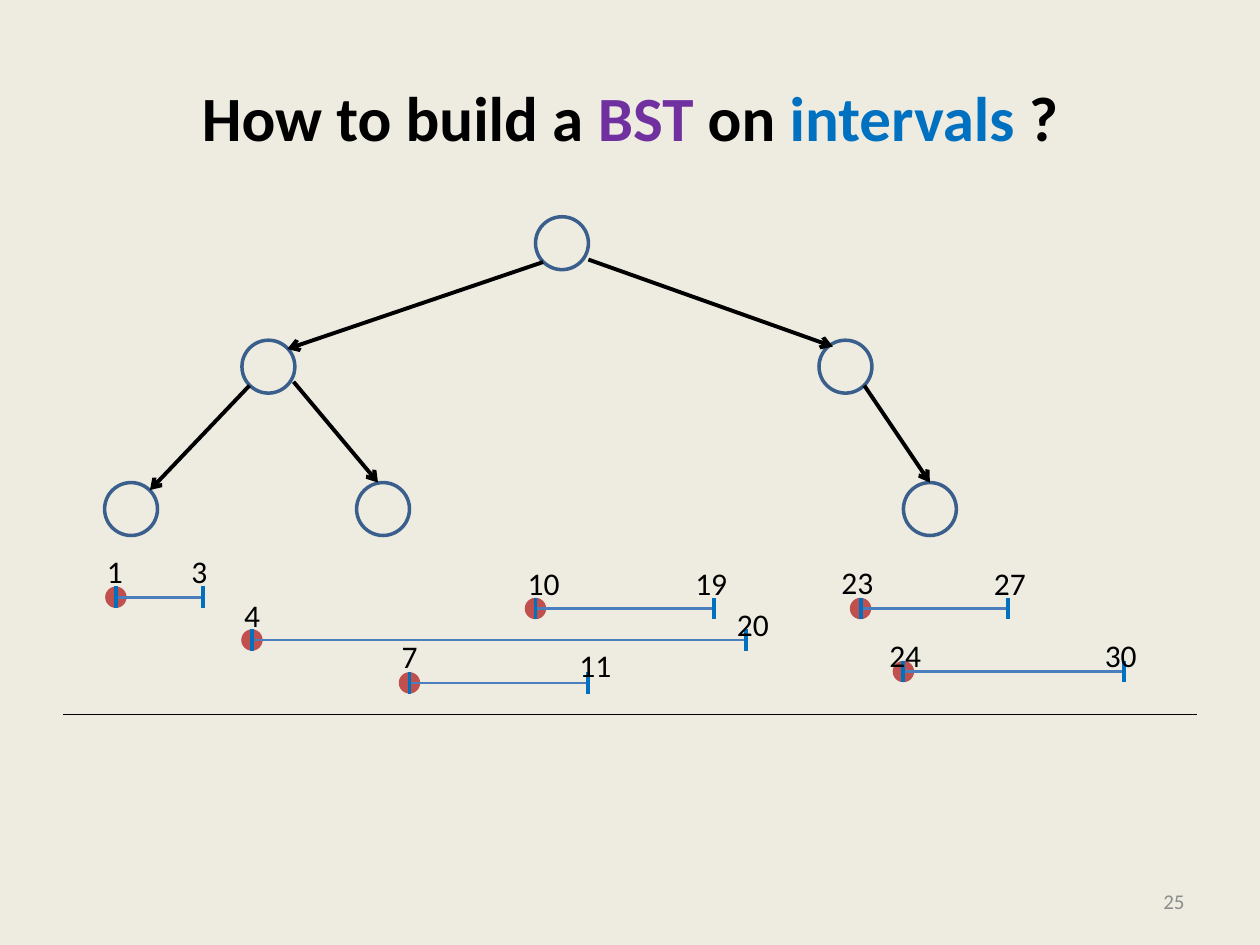
from dataclasses import dataclass

from lxml import etree
from pptx import Presentation
from pptx.dml.color import RGBColor
from pptx.enum.shapes import MSO_CONNECTOR, MSO_SHAPE
from pptx.enum.text import MSO_ANCHOR, MSO_AUTO_SIZE, PP_ALIGN
from pptx.oxml.ns import qn
from pptx.util import Inches, Pt

STRAIGHT = MSO_CONNECTOR.STRAIGHT
OVAL = MSO_SHAPE.OVAL
MIDDLE = MSO_ANCHOR.MIDDLE
FIT_SHAPE = MSO_AUTO_SIZE.SHAPE_TO_FIT_TEXT
CENTER, RIGHT = PP_ALIGN.CENTER, PP_ALIGN.RIGHT


@dataclass(frozen=True)
class Theme:
    font: str = "Calibri"
    background: str = "EEECE1"
    ink: str = "000000"
    purple: str = "7030A0"
    blue: str = "0070C0"
    gray: str = "8C8C8C"
    node_line: str = "3A5F8C"
    interval: str = "4B7EBC"
    dot: str = "C0504D"
    title_size: int = 36
    label_size: int = 18
    number_size: int = 12


theme = Theme()


def add_line(shapes, start, end, color, width, arrow=False):
    line = shapes.add_connector(STRAIGHT, *map(Inches, start + end))
    line.line.color.rgb = RGBColor.from_string(color)
    line.line.width = Pt(width)
    if arrow:
        etree.SubElement(line.line._get_or_add_ln(), qn("a:tailEnd"), type="arrow")
    etree.SubElement(line._element.spPr, qn("a:effectLst"))


def add_span(para, text, size, color, bold=False):
    span = para.add_run()
    span.text = text
    span.font.name = theme.font
    span.font.size = Pt(size)
    span.font.bold = bold
    span.font.color.rgb = RGBColor.from_string(color)


deck = Presentation()
deck.slide_width, deck.slide_height = Inches(10), Inches(7.5)
page = deck.slides.add_slide(deck.slide_layouts[5])
page.background.fill.solid()
page.background.fill.fore_color.rgb = RGBColor.from_string(theme.background)

title = page.shapes.title
title.left, title.top, title.width, title.height = map(Inches, (0.5, 0.3, 9, 1.25))
title.text_frame.vertical_anchor = MIDDLE
para = title.text_frame.paragraphs[0]
para.alignment = CENTER
for text, color in (
    ("How to build a ", theme.ink),
    ("BST", theme.purple),
    (" on ", theme.ink),
    ("intervals", theme.blue),
    (" ?", theme.ink),
):
    add_span(para, text, theme.title_size, color, bold=True)

number = page.shapes.add_textbox(*map(Inches, (7.17, 6.95, 2.33, 0.4)))
number.text_frame.word_wrap = True
number.text_frame.vertical_anchor = MIDDLE
para = number.text_frame.paragraphs[0]
para.alignment = RIGHT
add_span(para, "25", theme.number_size, theme.gray)

add_line(page.shapes, (0.5, 5.67), (9.5, 5.67), theme.ink, 0.75)

tree = page.shapes.add_group_shape().shapes
node_size = 0.42
for left, top in ((0.83, 3.83), (2.83, 3.83), (7.17, 3.83),
                  (6.5, 2.7), (1.92, 2.7), (4.25, 1.72)):
    node = tree.add_shape(OVAL, *map(Inches, (left, top, node_size, node_size)))
    node.shadow.inherit = False
    node.fill.solid()
    node.fill.fore_color.rgb = RGBColor.from_string(theme.background)
    node.line.color.rgb = RGBColor.from_string(theme.node_line)
    node.line.width = Pt(2)

for parent, child in (
    ((4.31, 2.08), (2.28, 2.77)),
    ((4.67, 2.06), (6.61, 2.75)),
    ((1.98, 3.06), (1.19, 3.89)),
    ((2.33, 3.03), (3, 3.83)),
    ((6.86, 3.06), (7.38, 3.83)),
):
    add_line(tree, parent, child, theme.ink, 2.25, arrow=True)

dot_size = 0.17
tick = dot_size / 2
intervals = (
    (0.92, 1.61, 4.74, ("1", 0.75, 4.33), ("3", 1.42, 4.33)),
    (4.25, 5.67, 4.83, ("10", 4.09, 4.43), ("19", 5.42, 4.43)),
    (6.83, 8, 4.83, ("23", 6.58, 4.42), ("27", 7.79, 4.43)),
    (7.17, 8.92, 5.33, ("24", 6.96, 5), ("30", 8.67, 5)),
    (3.25, 4.67, 5.42, ("7", 3.09, 5.01), ("11", 4.5, 5.08)),
    (2, 5.92, 5.08, ("4", 1.84, 4.68), ("20", 5.75, 4.75)),
)
for start, end, middle, *labels in intervals:
    group = page.shapes.add_group_shape().shapes
    dot = group.add_shape(
        OVAL, *map(Inches, (start - tick, middle - tick, dot_size, dot_size)))
    dot.shadow.inherit = False
    dot.fill.solid()
    dot.fill.fore_color.rgb = RGBColor.from_string(theme.dot)
    dot.line.fill.background()
    add_line(group, (start, middle), (end, middle), theme.interval, 1.5)
    for edge in (end, start):
        add_line(group, (edge, middle - tick), (edge, middle + tick), theme.blue, 2.25)
    for text, left, top in labels:
        width = 0.2 + 0.13 * len(text)
        box = group.add_textbox(*map(Inches, (left, top, width, 0.4)))
        box.text_frame.word_wrap = False
        box.text_frame.auto_size = FIT_SHAPE
        add_span(box.text_frame.paragraphs[0], text, theme.label_size, theme.ink)

deck.save("out.pptx")
